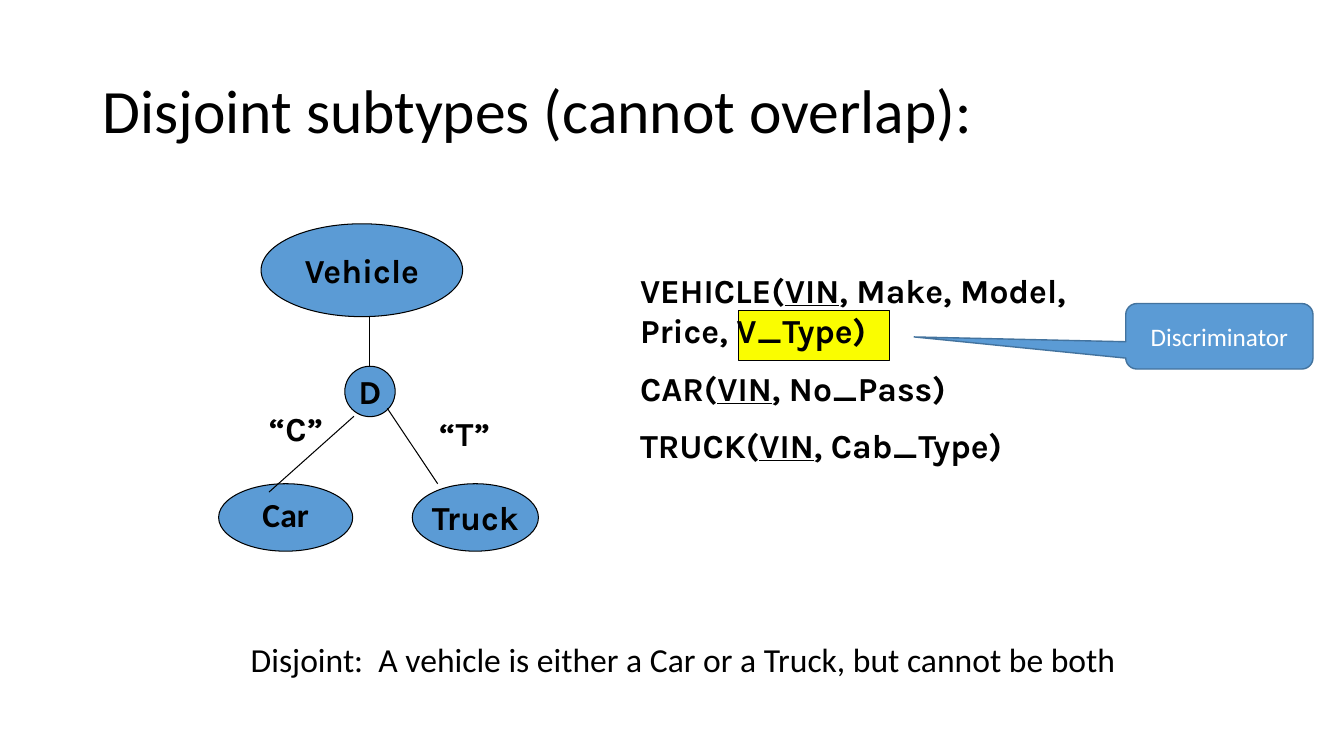
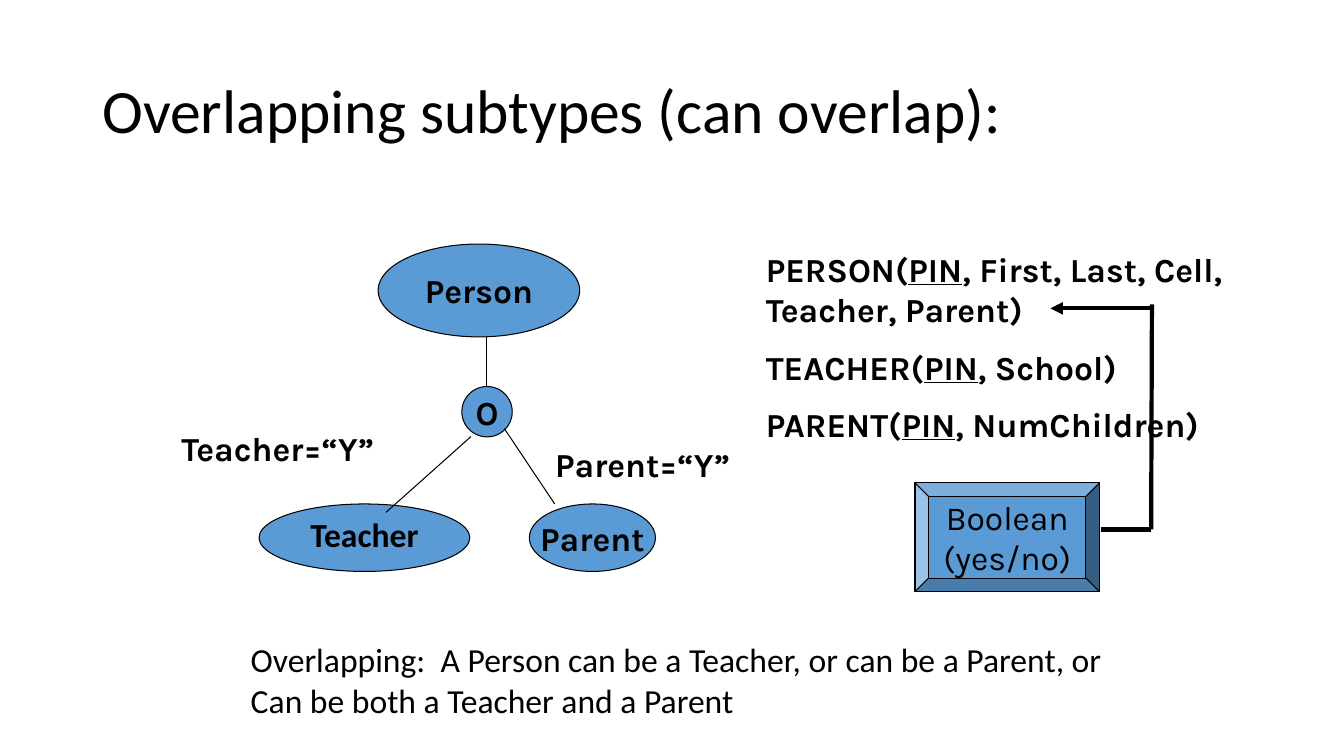
"""Build two slides on disjoint and overlapping subtypes."""
import dataclasses

import pptx
import pptx.dml.color
import pptx.enum.shapes
import pptx.enum.text
import pptx.oxml.ns
import pptx.util
from lxml import etree

Cm = pptx.util.Cm
Pt = pptx.util.Pt
SHAPE = pptx.enum.shapes.MSO_SHAPE
ALIGN = pptx.enum.text.PP_ALIGN
ANCHOR = pptx.enum.text.MSO_ANCHOR


@dataclasses.dataclass(frozen=True)
class Theme:
    heading_font: str = "Calibri"
    diagram_font: str = "Karla"
    ink: str = "000000"
    white: str = "FFFFFF"
    blue: str = "5B9BD5"
    dark_blue: str = "43739E"
    yellow: str = "FAFD00"
    title_size: float = 44
    body_size: float = 24
    callout_size: float = 18
    thin: float = 0.75
    thick: float = 3


THEME = Theme()

DISJOINT = {
    "title": "Disjoint subtypes (cannot overlap):",
    "origin": (6.58, 5.64),
    "supertype": "Vehicle",
    "rule": "D",
    "left": ("Car", 5.51, 3.38),
    "right": "Truck",
    "conditions": [("“C”", (6.53, 10.16, 1.9, 1.27)),
                   ("“T”", (10.82, 10.29, 1.85, 1.27))],
    "relations": [("VEHICLE(", "VIN", ", Make, Model, Price, V_Type)"),
                  ("CAR(", "VIN", ", No_Pass)"),
                  ("TRUCK(", "VIN", ", Cab_Type)")],
    "relations_box": (15.88, 6.68, 12.5, 5.38),
    "summary": ["Disjoint:  A vehicle is either a Car or a Truck, but cannot be both"],
}
OVERLAPPING = {
    "title": "Overlapping subtypes (can overlap):",
    "origin": (9.53, 6.15),
    "supertype": "Person",
    "rule": "O",
    "left": ("Teacher", 6.53, 5.31),
    "right": "Parent",
    "conditions": [("Teacher=“Y”", (4.32, 10.67, 6.05, 1.27)),
                   ("Parent=“Y”", (13.74, 11.05, 5.49, 1.27))],
    "relations": [("PERSON(", "PIN", ", First, Last, Cell, Teacher, Parent)"),
                  ("TEACHER(", "PIN", ", School)"),
                  ("PARENT(", "PIN", ", NumChildren)")],
    "relations_box": (19.05, 6.15, 13.36, 5.38),
    "summary": ["Overlapping:  A Person can be a Teacher, or can be a Parent, or",
                "Can be both a Teacher and a Parent"],
}
TITLE_BOX = (2.33, 1.01, 29.21, 3.68)
SUMMARY_BOX = (6.07, 15.98, 22.6, 1.27)
HIGHLIGHT_BOX = (18.62, 7.82, 3.81, 1.27)
CALLOUT_BOX = (28.37, 7.65, 4.72, 1.65)
BOOLEAN_BOX = (23.06, 12.17, 4.65, 2.74)
BOOLEAN_ROUTE = [(27.74, 13.34), (29.01, 13.34), (29.03, 7.67)]
BOOLEAN_ARROW = ((29.01, 7.77), (26.47, 7.77))

SUPERTYPE_SIZE = (5.08, 2.34)
RULE_OFFSET, RULE_SIZE = (2.11, 3.59), 1.27
RIGHT_OFFSET, RIGHT_WIDTH = (3.81, 6.55), 3.18
SUBTYPE_HEIGHT = 1.7
BRANCHES = [((2.74, 2.34), (2.74, 3.59)),
            ((2.34, 4.85), (0.2, 6.76)),
            ((3.18, 4.65), (4.45, 6.55))]


def rgb(code):
    return pptx.dml.color.RGBColor.from_string(code)


def style(paragraph, font, size=THEME.body_size, bold=False, color=THEME.ink, align=ALIGN.LEFT):
    paragraph.alignment = align
    paragraph.font.name = font
    paragraph.font.size = Pt(size)
    paragraph.font.bold = bold
    paragraph.font.color.rgb = rgb(color)


def write(frame, lines, wrap, anchor, font, spacing=None, **look):
    """Fill a frame; a line given as a tuple has its middle part underlined."""
    frame.word_wrap = wrap
    frame.vertical_anchor = anchor
    for index, line in enumerate(lines):
        paragraph = frame.add_paragraph() if index else frame.paragraphs[0]
        style(paragraph, font, **look)
        if spacing:
            paragraph.line_spacing = spacing
        if isinstance(line, str):
            paragraph.add_run().text = line
            continue
        for part, text in enumerate(line):
            run = paragraph.add_run()
            run.text = text
            run.font.underline = part == 1


def add_text(slide, box, lines, wrap=False, anchor=ANCHOR.TOP, font=THEME.heading_font, **look):
    frame = slide.shapes.add_textbox(*map(Cm, box)).text_frame
    write(frame, lines, wrap, anchor, font, **look)
    return frame


def add_block(slide, kind, box, fill=THEME.blue, line=THEME.ink, width=THEME.thin):
    block = slide.shapes.add_shape(kind, *map(Cm, box))
    block.shadow.inherit = False
    block.fill.solid()
    block.fill.fore_color.rgb = rgb(fill)
    block.line.color.rgb = rgb(line)
    block.line.width = Pt(width)
    return block


def add_node(slide, box, text, wrap=False, anchor=ANCHOR.MIDDLE, font=THEME.diagram_font, **look):
    node = add_block(slide, SHAPE.OVAL, box)
    write(node.text_frame, [text], wrap, anchor, font, bold=True, align=ALIGN.CENTER, **look)


def add_line(slide, start, end, width=THEME.thin, arrow=False):
    line = slide.shapes.add_connector(
        pptx.enum.shapes.MSO_CONNECTOR.STRAIGHT, *map(Cm, (*start, *end)))
    line.line.color.rgb = rgb(THEME.ink)
    line.line.width = Pt(width)
    properties = line._element.spPr
    if arrow:
        outline = properties.find(pptx.oxml.ns.qn("a:ln"))
        etree.SubElement(outline, pptx.oxml.ns.qn("a:tailEnd"), type="triangle")
    etree.SubElement(properties, pptx.oxml.ns.qn("a:effectLst"))


def add_hierarchy(slide, content):
    left, top = content["origin"]

    def shifted(offset):
        return left + offset[0], top + offset[1]

    add_node(slide, (left, top, *SUPERTYPE_SIZE), content["supertype"])
    add_node(slide, (*shifted(RIGHT_OFFSET), RIGHT_WIDTH, SUBTYPE_HEIGHT), content["right"])
    add_node(slide, (*shifted(RULE_OFFSET), RULE_SIZE, RULE_SIZE), content["rule"])
    name, name_left, name_width = content["left"]
    add_node(slide, (name_left, top + RIGHT_OFFSET[1], name_width, SUBTYPE_HEIGHT), name,
             wrap=True, anchor=ANCHOR.TOP, font=THEME.heading_font, spacing=0.9)
    for start, end in BRANCHES:
        add_line(slide, shifted(start), shifted(end))
    for condition, box in content["conditions"]:
        add_text(slide, box, [condition], font=THEME.diagram_font, bold=True)


def add_subtype_slide(slide, content):
    add_text(slide, TITLE_BOX, [content["title"]], wrap=True, anchor=ANCHOR.MIDDLE,
             size=THEME.title_size, spacing=0.9)
    relations = add_text(slide, content["relations_box"], content["relations"], wrap=True,
                         font=THEME.diagram_font, bold=True)
    for paragraph in relations.paragraphs[1:]:
        paragraph.space_before = Pt(THEME.body_size / 2)
    add_hierarchy(slide, content)
    add_text(slide, SUMMARY_BOX, content["summary"], wrap=True)


def add_discriminator(slide):
    callout = add_block(slide, SHAPE.ROUNDED_RECTANGULAR_CALLOUT, CALLOUT_BOX,
                        line=THEME.dark_blue, width=1)
    for index, value in enumerate((-1.63, 0.01, 0.17)):
        callout.adjustments[index] = value
    write(callout.text_frame, ["Discriminator"], True, ANCHOR.MIDDLE, THEME.heading_font,
          size=THEME.callout_size, color=THEME.white, align=ALIGN.CENTER)


def add_boolean(slide):
    boolean = add_block(slide, SHAPE.BEVEL, BOOLEAN_BOX)
    write(boolean.text_frame, ["Boolean", "(yes/no)"], False, ANCHOR.MIDDLE,
          THEME.diagram_font, align=ALIGN.CENTER)
    for start, end in zip(BOOLEAN_ROUTE, BOOLEAN_ROUTE[1:]):
        add_line(slide, start, end, THEME.thick)
    add_line(slide, *BOOLEAN_ARROW, THEME.thick, arrow=True)


def main():
    deck = pptx.Presentation()
    deck.slide_width, deck.slide_height = Cm(33.87), Cm(19.05)
    blank = deck.slide_layouts[6]

    disjoint = deck.slides.add_slide(blank)
    add_block(disjoint, SHAPE.RECTANGLE, HIGHLIGHT_BOX, fill=THEME.yellow)
    add_subtype_slide(disjoint, DISJOINT)
    add_discriminator(disjoint)

    overlapping = deck.slides.add_slide(blank)
    add_subtype_slide(overlapping, OVERLAPPING)
    add_boolean(overlapping)

    deck.save("out.pptx")


if __name__ == "__main__":
    main()
